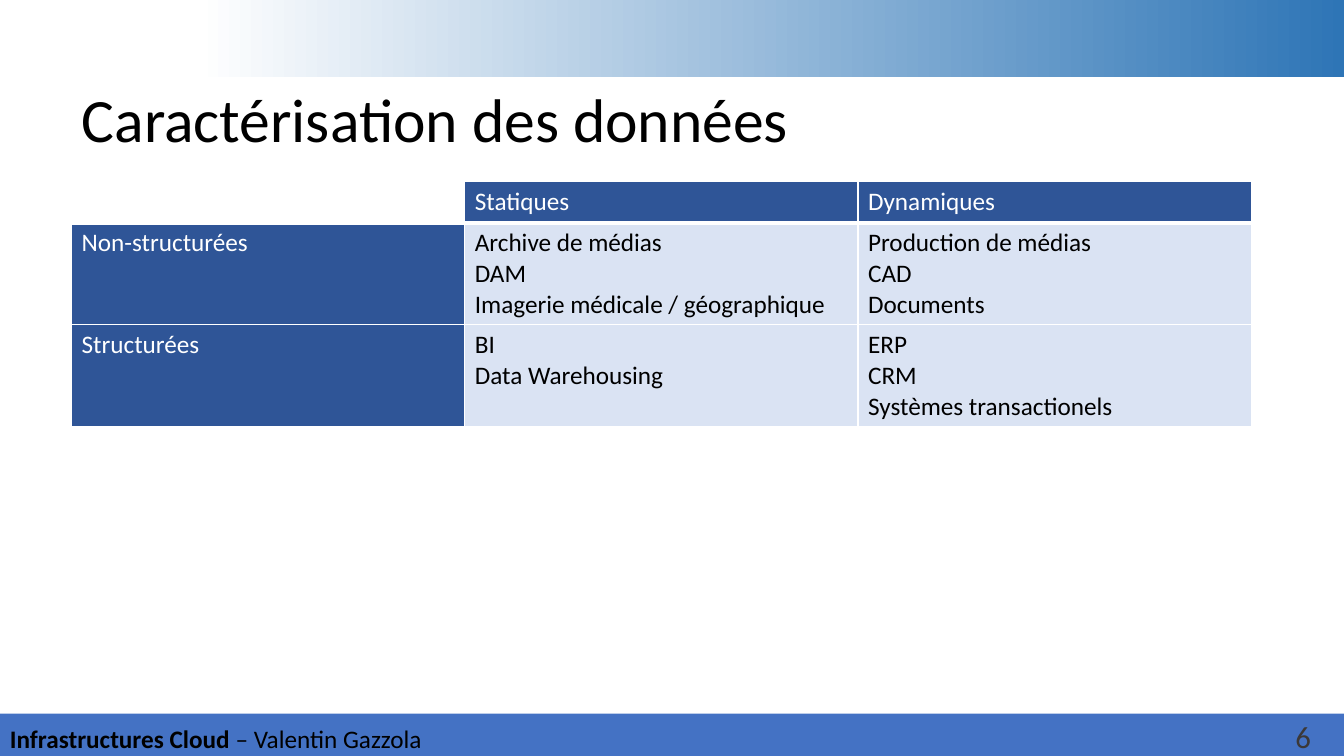
from dataclasses import dataclass

from lxml.etree import SubElement
from pptx import Presentation
from pptx.dml.color import RGBColor as RGB
from pptx.enum.shapes import MSO_SHAPE as SHAPE
from pptx.enum.text import MSO_ANCHOR as ANCHOR, MSO_AUTO_SIZE as AUTO, PP_ALIGN as ALIGN
from pptx.oxml.ns import qn
from pptx.util import Inches, Pt

# Content
TITLE = "Caractérisation des données"
FOOTER = [("Infrastructures Cloud ", True), ("– Valentin Gazzola", False)]
PAGE = "6"
ROWS = [
    ["", "Statiques", "Dynamiques"],
    ["Non-structurées",
     "Archive de médias\nDAM\nImagerie médicale / géographique",
     "Production de médias\nCAD\nDocuments"],
    ["Structurées",
     "BI\nData Warehousing",
     "ERP\nCRM\nSystèmes transactionels"],
]


@dataclass(frozen=True)
class Theme:
    font: str = "Calibri"
    black: str = "000000"
    white: str = "FFFFFF"
    grey: str = "3B3838"
    bar: str = "4472C4"
    band: str = "2E75B6"
    header: str = "2F5597"
    body: str = "DAE3F3"
    title_size: int = 44
    text_size: int = 18
    page_size: int = 22


T = Theme()
SLIDE_W, SLIDE_H = 13.33, 7.5
LEFT, WIDTH = 0.71, 11.7
BAND_LEFT, BAND_H = 1.95, 0.76
BAR_TOP = 7.08
TABLE_TOP = 1.8
ROW_HEIGHTS = [0.41, 1.01, 1.01]


def box(x, y, w, h):
    return [Inches(v) for v in (x, y, w, h)]


def style(r, size, color, bold=False):
    r.font.name = T.font
    r.font.size = Pt(size)
    r.font.bold = bold
    r.font.color.rgb = RGB.from_string(color)


def add_rect(s, *at):
    sp = s.shapes.add_shape(SHAPE.RECTANGLE, *box(*at))
    sp.shadow.inherit = False
    sp.line.fill.background()
    return sp


def add_text(s, at, runs, size, color):
    tf = s.shapes.add_textbox(*box(*at)).text_frame
    for text, bold in runs:
        r = tf.paragraphs[0].add_run()
        r.text = text
        style(r, size, color, bold)
    return tf


def add_borders(cell, bottom):
    tc_pr = cell._tc.get_or_add_tcPr()
    widths = {"lnL": 1, "lnR": 1, "lnT": 1, "lnB": bottom}
    for i, (side, width) in enumerate(widths.items()):
        ln = SubElement(tc_pr, qn(f"a:{side}"), w=str(Pt(width)))
        SubElement(SubElement(ln, qn("a:solidFill")), qn("a:srgbClr"), val=T.white)
        tc_pr.insert(i, ln)


def add_table(s):
    n_cols = len(ROWS[0])
    at = box(LEFT, TABLE_TOP, WIDTH, sum(ROW_HEIGHTS))
    table = s.shapes.add_table(len(ROWS), n_cols, *at).table
    table.first_row = table.horz_banding = False
    for col in table.columns:
        col.width = Inches(WIDTH / n_cols)
    for i, row in enumerate(ROWS):
        table.rows[i].height = Inches(ROW_HEIGHTS[i])
        for j, text in enumerate(row):
            cell = table.cell(i, j)
            is_header = i == 0 or j == 0
            if text:
                cell.fill.solid()
                cell.fill.fore_color.rgb = RGB.from_string(T.header if is_header else T.body)
            else:
                cell.fill.background()
            cell.text_frame.text = text
            for p in cell.text_frame.paragraphs:
                for r in p.runs:
                    style(r, T.text_size, T.white if is_header else T.black)
            # Thick rule under the header row; the row below shares it
            add_borders(cell, 3 if i == 0 else 1)
            if i == 1:
                cell._tc.tcPr.find(qn("a:lnT")).set("w", str(Pt(3)))


def main():
    prs = Presentation()
    prs.slide_width, prs.slide_height = Inches(SLIDE_W), Inches(SLIDE_H)
    s = prs.slides.add_slide(prs.slide_layouts[5])

    # Top gradient band and bottom bar
    band = add_rect(s, BAND_LEFT, 0, SLIDE_W - BAND_LEFT, BAND_H)
    band.fill.gradient()
    band.fill.gradient_angle = 180
    for stop, color, pos in zip(band.fill.gradient_stops, (T.band, T.white), (0, 1)):
        stop.color.rgb = RGB.from_string(color)
        stop.position = pos
    bar = add_rect(s, 0, BAR_TOP, SLIDE_W, SLIDE_H - BAR_TOP)
    bar.fill.solid()
    bar.fill.fore_color.rgb = RGB.from_string(T.bar)

    # Footer
    tf = add_text(s, (0, 7.13, 4.33, 0.4), FOOTER, T.text_size, T.black)
    tf.word_wrap = False
    tf.auto_size = AUTO.SHAPE_TO_FIT_TEXT

    # Title
    title = s.shapes.title
    title.left, title.top, title.width, title.height = box(LEFT, 0.72, WIDTH, 0.99)
    tf = title.text_frame
    tf.text = TITLE
    tf.vertical_anchor = ANCHOR.MIDDLE
    p = tf.paragraphs[0]
    p.alignment = ALIGN.LEFT
    p.line_spacing = 0.9
    style(p.runs[0], T.title_size, T.black)

    # Table
    add_table(s)

    # Page number
    tf = add_text(s, (12.75, 7.1, 0.58, 0.4), [(PAGE, False)], T.page_size, T.grey)
    tf.word_wrap = True
    tf.vertical_anchor = ANCHOR.MIDDLE

    prs.save("out.pptx")


if __name__ == "__main__":
    main()
